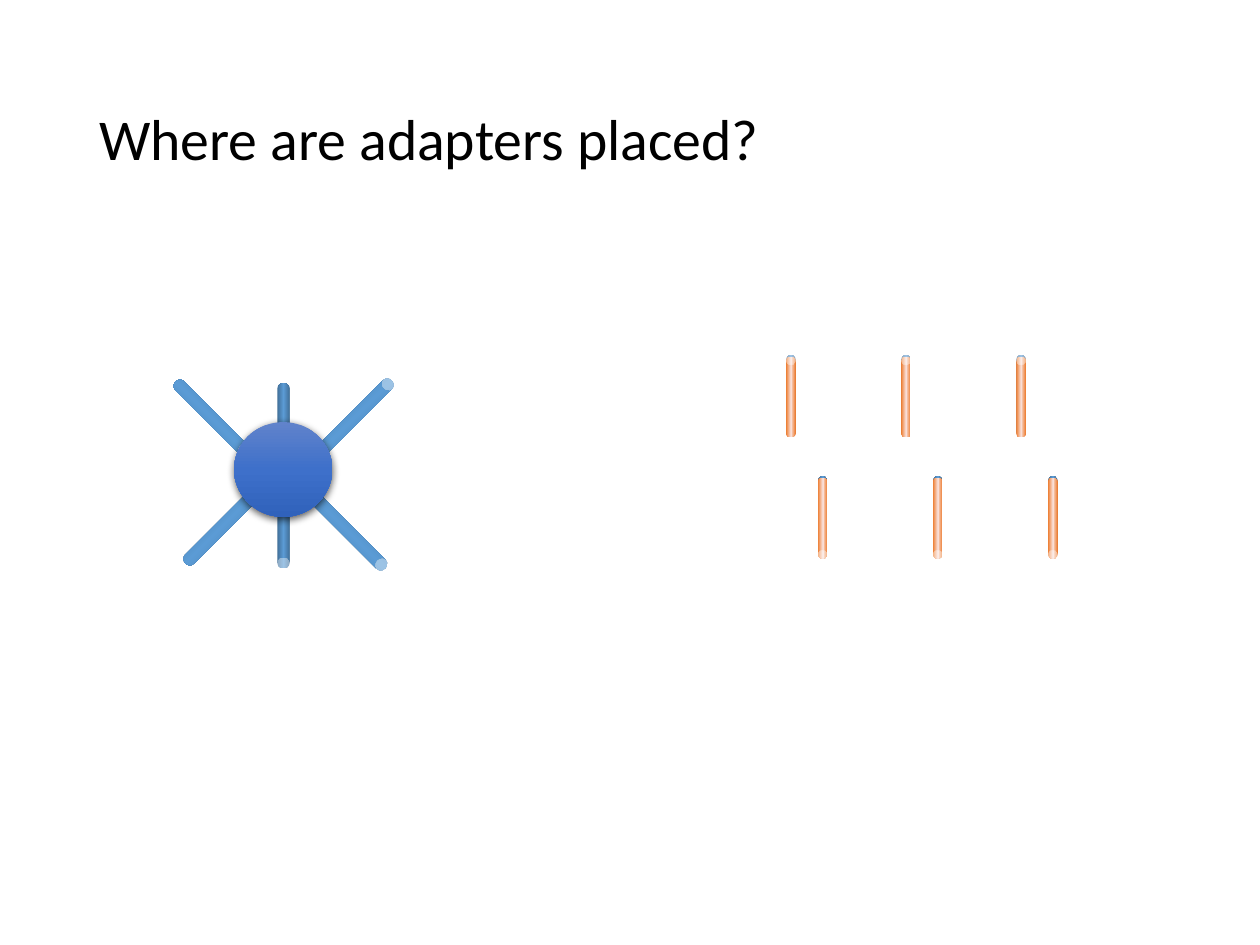
from copy import deepcopy
from dataclasses import dataclass

from lxml.etree import SubElement
from pptx import Presentation
from pptx.dml.color import RGBColor
from pptx.enum.shapes import MSO_SHAPE
from pptx.enum.text import MSO_ANCHOR
from pptx.oxml.ns import qn
from pptx.shapes.autoshape import Shape
from pptx.shapes.shapetree import GroupShapes
from pptx.slide import Slide
from pptx.util import Cm, Pt

Gradient = tuple[str, str, str]


@dataclass(frozen=True)
class Theme:
    font: str = "Calibri"
    title_size: float = 33
    text: str = "000000"
    blue: Gradient = ("416F98", "5B9BD5", "416F98")
    orange: Gradient = ("ED7D31", "F9DED6", "ED7D31")
    sphere: Gradient = ("6183CB", "3E70CA", "3062BB")
    shadow: str = "000000"


@dataclass(frozen=True)
class Box:
    left: float
    top: float
    width: float
    height: float


@dataclass(frozen=True)
class Rod:
    box: Box
    colors: Gradient
    rotation: float = 0


THEME = Theme()
ARM_WIDTH, ARM_LENGTH = 0.25, 2.06
ARM_PLACES = (
    (6.91, 9.7, 135),
    (4.34, 9.6, 45),
    (5.59, 9.4, 180),
    (5.59, 7.72, 180),
    (7.04, 7.37, 45),
    (4.14, 7.39, 135),
)
HUB = Box(4.72, 8.51, 1.98, 1.91)
ADAPTER_WIDTH, ADAPTER_LENGTH = 0.19, 1.63
ADAPTER_PITCH = 2.32
ADAPTER_ROWS = ((16.49, 9.6, 180), (15.85, 7.16, 0))
ADAPTER_LAYERS = ((0, THEME.blue), (0.03, THEME.orange))


def fill_gradient(shape: Shape, colors: Gradient, angle: float) -> None:
    """Give a shape an evenly spaced three-stop linear gradient."""
    shape.fill.gradient()
    shape.fill.gradient_angle = angle
    stop_list = shape._element.spPr.find(qn("a:gradFill")).find(qn("a:gsLst"))
    stop_list.insert(1, deepcopy(stop_list[0]))
    for index, (stop, color) in enumerate(zip(shape.fill.gradient_stops, colors)):
        stop.position = index / 2
        stop.color.rgb = RGBColor.from_string(color)


def add_solid(shapes: GroupShapes, kind: MSO_SHAPE, box: Box,
              colors: Gradient, angle: float = 0) -> Shape:
    """Add a borderless gradient shape."""
    shape = shapes.add_shape(
        kind, Cm(box.left), Cm(box.top), Cm(box.width), Cm(box.height))
    shape.shadow.inherit = False
    shape.line.fill.background()
    fill_gradient(shape, colors, angle)
    return shape


def add_rod(shapes: GroupShapes, rod: Rod) -> None:
    """Add a thin cylinder."""
    shape = add_solid(shapes, MSO_SHAPE.CAN, rod.box, rod.colors)
    shape.adjustments[0] = 0.873
    shape.rotation = rod.rotation


def add_shadow(shape: Shape) -> None:
    """Drop a soft shadow below a shape."""
    effects = shape._element.spPr.find(qn("a:effectLst"))
    shadow = SubElement(effects, qn("a:outerShdw"), blurRad=str(Pt(4.5)),
                        dist=str(Pt(1.5)), dir="5400000", algn="ctr", rotWithShape="0")
    color = SubElement(shadow, qn("a:srgbClr"), val=THEME.shadow)
    SubElement(color, qn("a:alpha"), val="63000")


def add_title(slide: Slide, text: str) -> None:
    """Add the slide title."""
    frame = slide.shapes.add_textbox(Cm(1.75), Cm(1.02), Cm(21.89), Cm(3.68)).text_frame
    frame.word_wrap = True
    frame.vertical_anchor = MSO_ANCHOR.MIDDLE
    paragraph = frame.paragraphs[0]
    paragraph.text = text
    paragraph.line_spacing = 0.9
    paragraph.font.name = THEME.font
    paragraph.font.size = Pt(THEME.title_size)
    paragraph.font.color.rgb = RGBColor.from_string(THEME.text)


def add_adapters(slide: Slide) -> None:
    """Add two staggered rows of layered adapters."""
    shapes = slide.shapes.add_group_shape().shapes
    for left, top, rotation in ADAPTER_ROWS:
        for column in range(3):
            for offset, colors in ADAPTER_LAYERS:
                box = Box(left + column * ADAPTER_PITCH, top + offset,
                          ADAPTER_WIDTH, ADAPTER_LENGTH)
                add_rod(shapes, Rod(box, colors, rotation))


def add_hub(slide: Slide) -> None:
    """Add the sphere and its radiating arms."""
    shapes = slide.shapes.add_group_shape().shapes
    for left, top, rotation in ARM_PLACES:
        box = Box(left, top, ARM_WIDTH, ARM_LENGTH)
        add_rod(shapes, Rod(box, THEME.blue, rotation))
    add_shadow(add_solid(shapes, MSO_SHAPE.OVAL, HUB, THEME.sphere, angle=270))


def main() -> None:
    """Build and save the slide."""
    presentation = Presentation()
    presentation.slide_width, presentation.slide_height = Cm(25.4), Cm(19.05)
    slide = presentation.slides.add_slide(presentation.slide_layouts[6])
    add_title(slide, "Where are adapters placed?")
    add_adapters(slide)
    add_hub(slide)
    presentation.save("out.pptx")


if __name__ == "__main__":
    main()
